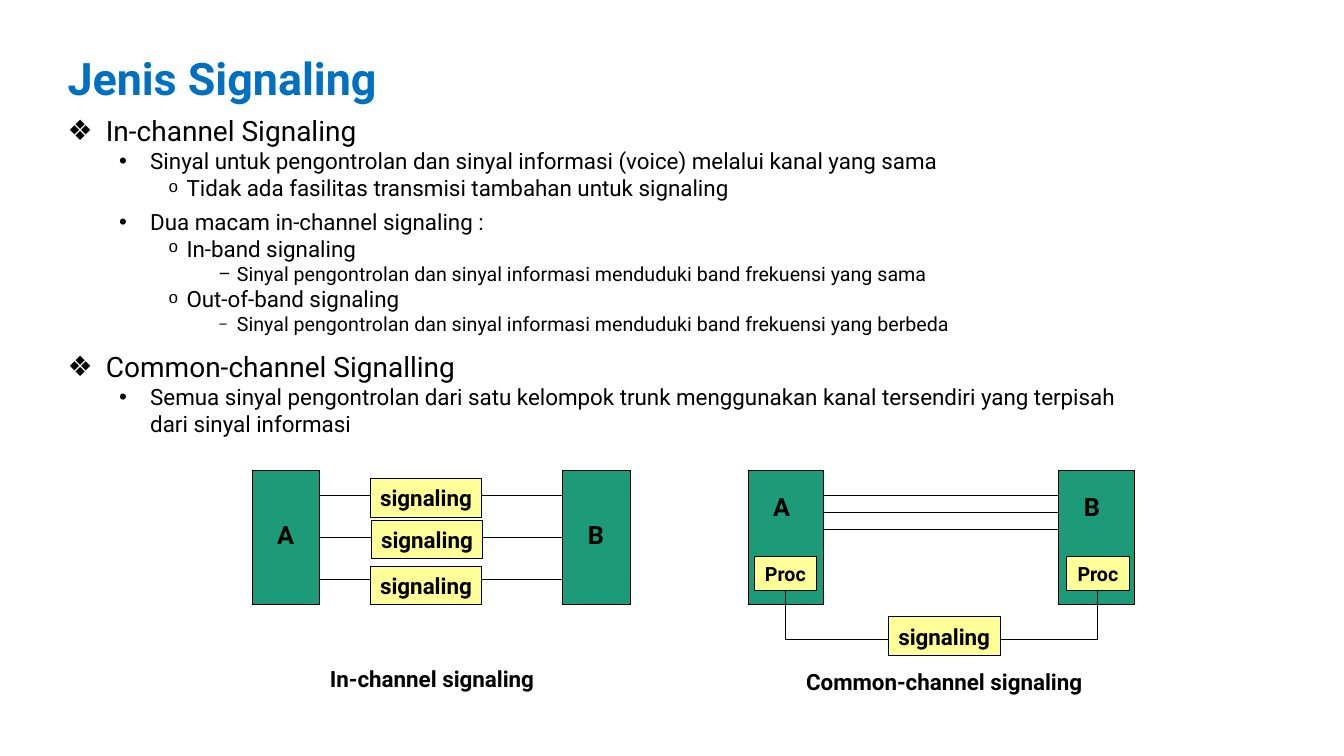
import pptx
import pptx.util
import pptx.dml.color
import pptx.enum.shapes
import pptx.enum.text
import pptx.oxml.ns
import lxml.etree

Inches = pptx.util.Inches
Pt = pptx.util.Pt
ALIGN = pptx.enum.text.PP_ALIGN
COLORS = {"title": "0070C0", "ink": "000000", "node": "1D9A78", "label": "FFFF99"}
LEVELS = [
    {"size": 20, "left": 0.38, "hang": 0.38, "mark": "❖", "font": "Arial"},
    {"size": 16, "left": 0.82, "hang": 0.31, "mark": "•", "font": "Arial"},
    {"size": 16, "left": 1.18, "hang": 0.18, "mark": "o", "font": "Courier New"},
    {"size": 14, "left": 1.68, "hang": 0.18, "mark": "−", "font": "Arial"},
]
POINTS = [
    (0, "In-channel Signaling", 0, 100),
    (1, "Sinyal untuk pengontrolan dan sinyal informasi (voice) melalui kanal yang sama", 0, 100),
    (2, "Tidak ada fasilitas transmisi tambahan untuk signaling", 0, 75),
    (1, "Dua macam in-channel signaling :", 5, 100),
    (2, "In-band signaling", 0, 75),
    (3, "Sinyal pengontrolan dan sinyal informasi menduduki band frekuensi yang sama", 0, 100),
    (2, "Out-of-band signaling", 0, 75),
    (3, "Sinyal pengontrolan dan sinyal informasi menduduki band frekuensi yang berbeda", 0, 75),
    (0, "Common-channel Signalling", 10, 100),
    (1, "Semua sinyal pengontrolan dari satu kelompok trunk menggunakan kanal tersendiri "
        "yang terpisah dari sinyal informasi", 0, 100),
]


def paint(name):
    return pptx.dml.color.RGBColor.from_string(COLORS[name])


def write(para, text, size=16, bold=True, color="ink", align=ALIGN.CENTER, before=0):
    run = para.add_run()
    run.text = text
    run.font.name = "Roboto"
    run.font.size = Pt(size)
    run.font.bold = bold
    run.font.color.rgb = paint(color)
    para.alignment = align
    para.line_spacing = 1.0
    para.space_before = Pt(before)
    para.space_after = Pt(0)


def child(node, tag, **attrs):
    lxml.etree.SubElement(node, pptx.oxml.ns.qn(tag), attrs)


class Deck:
    def __init__(self):
        self.show = pptx.Presentation()
        self.show.slide_width = Inches(13.33)
        self.show.slide_height = Inches(7.5)
        self.slide = self.show.slides.add_slide(self.show.slide_layouts[1])
        self.shapes = self.slide.shapes

    def place(self, shape, x, y, w, h):
        shape.left, shape.top = Inches(x), Inches(y)
        shape.width, shape.height = Inches(w), Inches(h)
        shape.text_frame.auto_size = pptx.enum.text.MSO_AUTO_SIZE.NONE
        shape.text_frame.word_wrap = True
        return shape.text_frame

    def title(self, text, *area):
        frame = self.place(self.shapes.title, *area)
        frame.vertical_anchor = pptx.enum.text.MSO_ANCHOR.MIDDLE
        write(frame.paragraphs[0], text, size=32, color="title", align=ALIGN.LEFT)

    def body(self, points, *area):
        frame = self.place(self.slide.placeholders[1], *area)
        frame.vertical_anchor = pptx.enum.text.MSO_ANCHOR.TOP
        for i, (level, text, before, scale) in enumerate(points):
            para = frame.add_paragraph() if i else frame.paragraphs[0]
            look = LEVELS[level]
            para.level = level
            write(para, text, size=look["size"], bold=False, align=ALIGN.LEFT, before=before)
            props = para._p.get_or_add_pPr()
            props.set("marL", str(Inches(look["left"])))
            props.set("indent", str(-Inches(look["hang"])))
            child(props, "a:buSzPct", val=str(scale * 1000))
            child(props, "a:buFont", typeface=look["font"])
            child(props, "a:buChar", char=look["mark"])

    def edge(self, shape):
        shape.line.color.rgb = paint("ink")
        shape.line.width = Pt(0.75)

    def box(self, x, y, w, h, fill, text="", **look):
        kind = pptx.enum.shapes.MSO_SHAPE.RECTANGLE
        shape = self.shapes.add_shape(kind, Inches(x), Inches(y), Inches(w), Inches(h))
        shape.shadow.inherit = False
        shape.fill.solid()
        shape.fill.fore_color.rgb = paint(fill)
        self.edge(shape)
        if text:
            shape.text_frame.word_wrap = False
            write(shape.text_frame.paragraphs[0], text, **look)

    def label(self, text, x, y, w, h, **look):
        shape = self.shapes.add_textbox(Inches(x), Inches(y), Inches(w), Inches(h))
        shape.text_frame.word_wrap = False
        write(shape.text_frame.paragraphs[0], text, **look)

    def line(self, left, right, y):
        kind = pptx.enum.shapes.MSO_CONNECTOR.STRAIGHT
        wire = self.shapes.add_connector(kind, Inches(left), Inches(y), Inches(right), Inches(y))
        child(wire._element.spPr, "a:effectLst")
        self.edge(wire)

    def bend(self, start, *rest):
        x, y = start
        pen = self.shapes.build_freeform(Inches(x), Inches(y))
        pen.add_line_segments([(Inches(a), Inches(b)) for a, b in rest], close=False)
        shape = pen.convert_to_shape()
        shape.shadow.inherit = False
        shape.fill.background()
        self.edge(shape)

    def signal(self, x, y):
        self.box(x, y, 1.11, 0.38, "label", "signaling")


def main():
    deck = Deck()
    deck.title("Jenis Signaling", 0.57, 0.42, 9, 0.7)
    deck.body(POINTS, 0.57, 1.08, 10.85, 3.35)

    for name, x in (("A", 2.5), ("B", 5.58)):
        deck.box(x, 4.67, 0.67, 1.33, "node")
        deck.label(name, x + 0.15, 5.1, 0.36, 0.4, size=18)
    for y in (4.92, 5.33, 5.75):
        deck.line(3.17, 5.58, y)
    for x, y in ((3.67, 4.75), (3.68, 5.16), (3.67, 5.62)):
        deck.signal(x, y)
    deck.label("In-channel signaling", 3.15, 6.55, 2.27, 0.37)

    for y in (4.92, 5.08, 5.25):
        deck.line(8.08, 10.5, y)
    for name, x, proc in (("A", 7.42, 7.48), ("B", 10.5, 10.58)):
        deck.box(x, 4.67, 0.75, 1.33, "node")
        deck.label(name, x + 0.15, 4.83, 0.36, 0.4, size=18)
        deck.box(proc, 5.52, 0.62, 0.34, "label", "Proc", size=14)
    deck.bend((7.79, 5.86), (7.79, 6.34), (10.89, 6.34), (10.89, 5.86))
    deck.signal(8.81, 6.12)
    deck.label("Common-channel signaling", 7.88, 6.58, 2.97, 0.37)

    deck.show.save("out.pptx")


if __name__ == "__main__":
    main()
